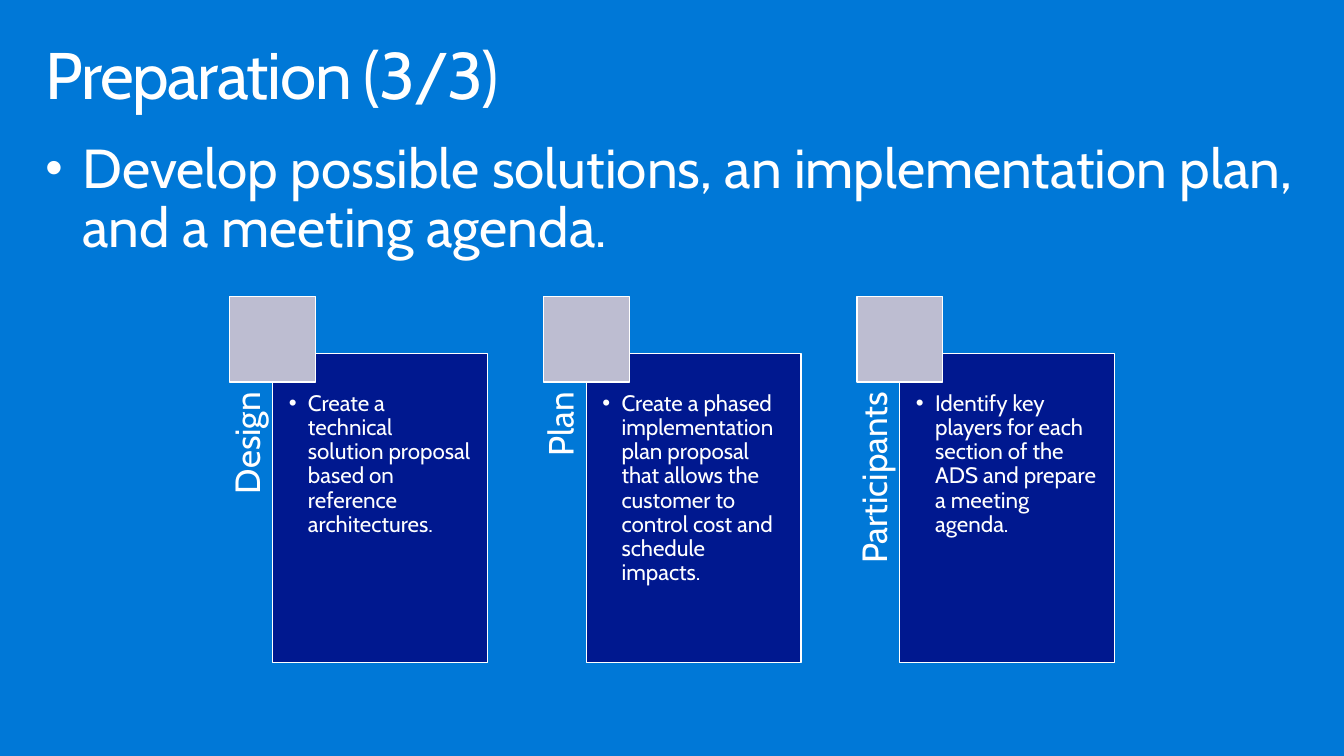
from pptx import Presentation
from pptx.dml.color import RGBColor
from pptx.enum.shapes import MSO_SHAPE as SHAPE
from pptx.enum.text import MSO_ANCHOR as ANCHOR, PP_ALIGN as ALIGN
from pptx.oxml.ns import qn
from pptx.util import Inches, Pt
from lxml import etree

BLUE = RGBColor(0x00, 0x78, 0xD7)
NAVY = RGBColor(0x00, 0x18, 0x8F)
LILAC = RGBColor(0xBD, 0xBD, 0xD1)
WHITE = RGBColor(0xFF, 0xFF, 0xFF)

COLUMNS = [
    ("Design", "Create a technical solution proposal based on reference architectures."),
    ("Plan", "Create a phased implementation plan proposal that allows the customer "
             "to control cost and schedule impacts."),
    ("Participants", "Identify key players for each section of the ADS and prepare "
                     "a meeting agenda."),
]
LEFT, PITCH = 2.28, 3.11
SQUARE = 0.85
PANEL_TOP, PANEL_W, PANEL_H = 3.51, 2.13, 3.06
LABEL_H = 0.43


def write(s, text, size, insets, align=ALIGN.LEFT, indent=0, bullet_size=100):
    """Fill a shape with one paragraph, bulleted when indent is given."""
    tf = s.text_frame
    tf.word_wrap = True
    tf.vertical_anchor = ANCHOR.TOP
    (tf.margin_left, tf.margin_top,
     tf.margin_right, tf.margin_bottom) = [Inches(i) for i in insets]
    p = tf.paragraphs[0]
    p.alignment = align
    p.line_spacing = 0.9
    if indent:
        pPr = p._p.get_or_add_pPr()
        pPr.set("marL", str(Inches(indent)))
        pPr.set("indent", str(-Inches(indent)))
        etree.SubElement(pPr, qn("a:buSzPct")).set("val", str(bullet_size * 1000))
        etree.SubElement(pPr, qn("a:buFont")).set("typeface", "Arial")
        etree.SubElement(pPr, qn("a:buChar")).set("char", "•")
    r = p.add_run()
    r.text = text
    r.font.size = Pt(size)
    r.font.name = "Cabin"
    r.font.color.rgb = WHITE
    return r


def add_box(x, y, w, h, color):
    s = slide.shapes.add_shape(SHAPE.RECTANGLE, Inches(x), Inches(y), Inches(w), Inches(h))
    s.shadow.inherit = False
    s.fill.solid()
    s.fill.fore_color.rgb = color
    s.line.color.rgb = WHITE
    s.line.width = Pt(0.85)
    return s


prs = Presentation()
prs.slide_width, prs.slide_height = Inches(13.33), Inches(7.5)
slide = prs.slides.add_slide(prs.slide_layouts[6])
slide.background.fill.solid()
slide.background.fill.fore_color.rgb = BLUE

# Heading and introduction
title = slide.shapes.add_textbox(Inches(0.29), Inches(0.32), Inches(12.75), Inches(0.98))
r = write(title, "Preparation (3/3)", 47, (0.16, 0.1, 0.16, 0.1))
r._r.get_or_add_rPr().set("spc", "-100")

intro = slide.shapes.add_textbox(Inches(0.29), Inches(1.3), Inches(12.74), Inches(1.39))
write(intro, "Develop possible solutions, an implementation plan, and a meeting agenda.",
      39.2, (0.16, 0.1, 0.16, 0.1), indent=0.37, bullet_size=90)

# Three columns: sideways label, panel, corner square
for i, (name, detail) in enumerate(COLUMNS):
    x = LEFT + i * PITCH
    panel_x = x + SQUARE / 2

    # The label turns about its centre, so it is placed by that point
    label_x = x + LABEL_H / 2 - PANEL_H / 2
    label_y = PANEL_TOP + PANEL_H / 2 - LABEL_H / 2
    label = slide.shapes.add_textbox(Inches(label_x), Inches(label_y),
                                     Inches(PANEL_H), Inches(LABEL_H))
    label.rotation = 270
    write(label, name, 25, (0, 0, 0.38, 0), align=ALIGN.RIGHT)

    panel = add_box(panel_x, PANEL_TOP, PANEL_W, PANEL_H, NAVY)
    write(panel, detail, 16, (0.16, 0.38, 0.16, 0.16), indent=0.19)
    add_box(x, 2.94, SQUARE, SQUARE, LILAC)

prs.save("out.pptx")
